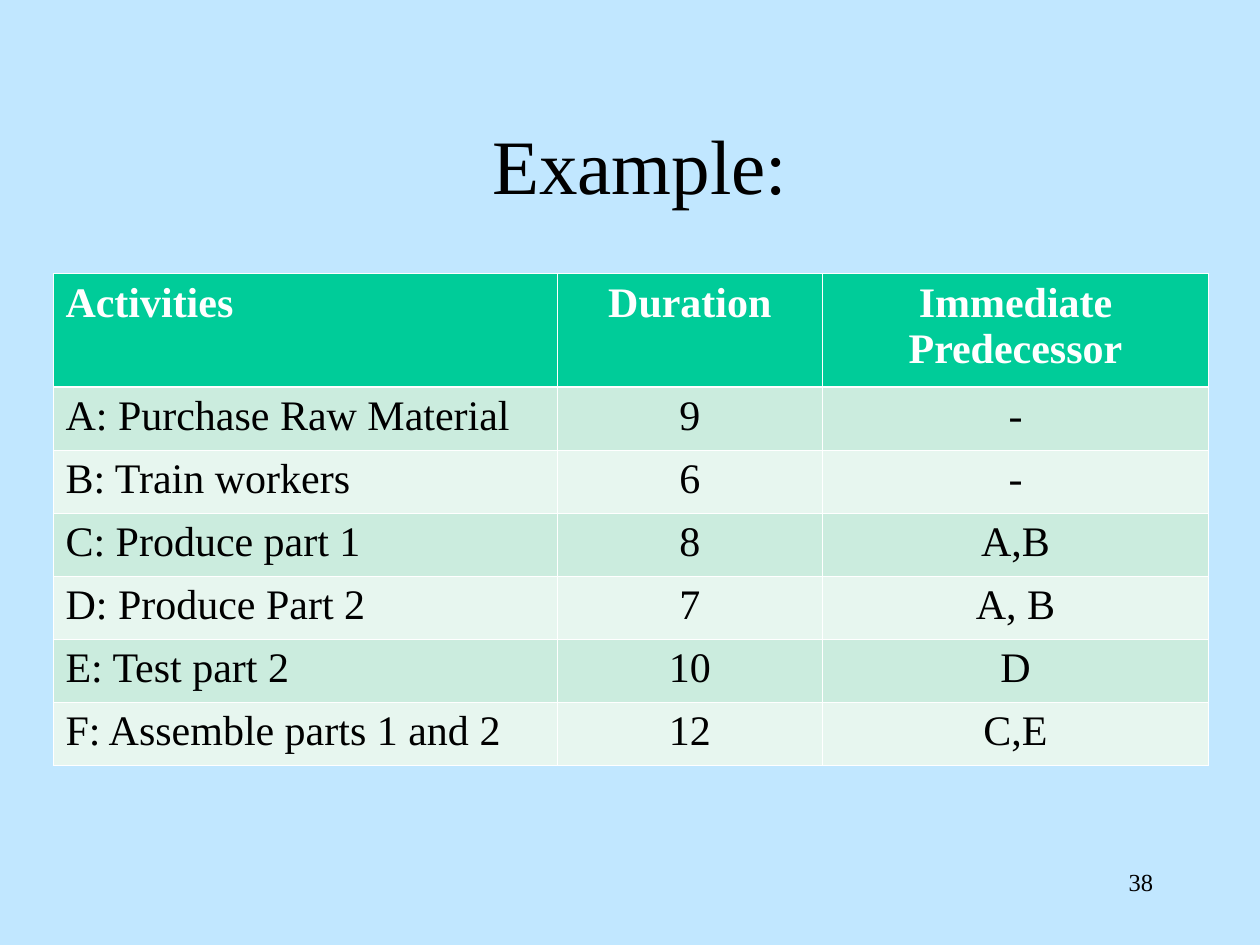
import pptx
import pptx.dml.color
import pptx.enum.text
import pptx.oxml.ns
import pptx.util
from lxml import etree
from pptx.util import Inches

BACKGROUND = pptx.dml.color.RGBColor(0xC1, 0xE7, 0xFF)
BLACK = pptx.dml.color.RGBColor(0x00, 0x00, 0x00)
WHITE = pptx.dml.color.RGBColor(0xFF, 0xFF, 0xFF)
HEADER_GREEN = pptx.dml.color.RGBColor(0x00, 0xCC, 0x99)
BAND_GREENS = [
    pptx.dml.color.RGBColor(0xE7, 0xF6, 0xEF),
    pptx.dml.color.RGBColor(0xCB, 0xEC, 0xDE),
]
FONT = "Times New Roman"
LEFT = pptx.enum.text.PP_ALIGN.LEFT
CENTER = pptx.enum.text.PP_ALIGN.CENTER
RIGHT = pptx.enum.text.PP_ALIGN.RIGHT

ACTIVITIES = [
    ("Activities", "Duration", "Immediate Predecessor"),
    ("A: Purchase Raw Material", "9", "-"),
    ("B: Train workers", "6", "-"),
    ("C: Produce part 1", "8", "A,B"),
    ("D: Produce Part 2", "7", "A, B"),
    ("E: Test part 2", "10", "D"),
    ("F: Assemble parts 1 and 2", "12", "C,E"),
]
COLUMN_WIDTHS = [4, 2.11, 3.06]
ROW_HEIGHTS = [0.9] + [0.5] * 6


def write_text(text_frame, text, size, alignment, color=BLACK, bold=False):
    text_frame.text = text
    paragraph = text_frame.paragraphs[0]
    paragraph.alignment = alignment
    font = paragraph.runs[0].font
    font.name = FONT
    font.size = pptx.util.Pt(size)
    font.bold = bold
    font.color.rgb = color


def add_border(cell, side, width):
    properties = cell._tc.get_or_add_tcPr()
    line = etree.SubElement(properties, pptx.oxml.ns.qn(f"a:ln{side}"), w=str(pptx.util.Pt(width)))
    fill = etree.SubElement(line, pptx.oxml.ns.qn("a:solidFill"))
    etree.SubElement(fill, pptx.oxml.ns.qn("a:srgbClr"), val=str(WHITE))


presentation = pptx.Presentation()
presentation.slide_width = Inches(10)
presentation.slide_height = Inches(7.5)
slide = presentation.slides.add_slide(presentation.slide_layouts[6])
slide.background.fill.solid()
slide.background.fill.fore_color.rgb = BACKGROUND

title = slide.shapes.add_textbox(Inches(0.83), Inches(0.67), Inches(8.5), Inches(1.25))
title.text_frame.word_wrap = True
title.text_frame.vertical_anchor = pptx.enum.text.MSO_ANCHOR.MIDDLE
write_text(title.text_frame, "Example:", 44, CENTER)

table = slide.shapes.add_table(
    len(ACTIVITIES), len(COLUMN_WIDTHS), Inches(0.42), Inches(2.17), Inches(9.17), Inches(3.9)
).table
for column, width in zip(table.columns, COLUMN_WIDTHS):
    column.width = Inches(width)
for row, height in zip(table.rows, ROW_HEIGHTS):
    row.height = Inches(height)

for row_index, activity in enumerate(ACTIVITIES):
    is_header = row_index == 0
    for column_index, text in enumerate(activity):
        cell = table.cell(row_index, column_index)
        write_text(
            cell.text_frame,
            text,
            24,
            LEFT if column_index == 0 else CENTER,
            WHITE if is_header else BLACK,
            is_header,
        )
        add_border(cell, "L", 0.45)
        add_border(cell, "R", 0.45)
        add_border(cell, "T", 1.47 if row_index == 1 else 0.45)
        add_border(cell, "B", 1.47 if is_header else 0.45)
        cell.fill.solid()
        cell.fill.fore_color.rgb = HEADER_GREEN if is_header else BAND_GREENS[row_index % 2]

page_number = slide.shapes.add_textbox(Inches(7.17), Inches(6.83), Inches(2.08), Inches(0.5))
page_number.text_frame.word_wrap = True
write_text(page_number.text_frame, "38", 14, RIGHT)

presentation.save("out.pptx")
